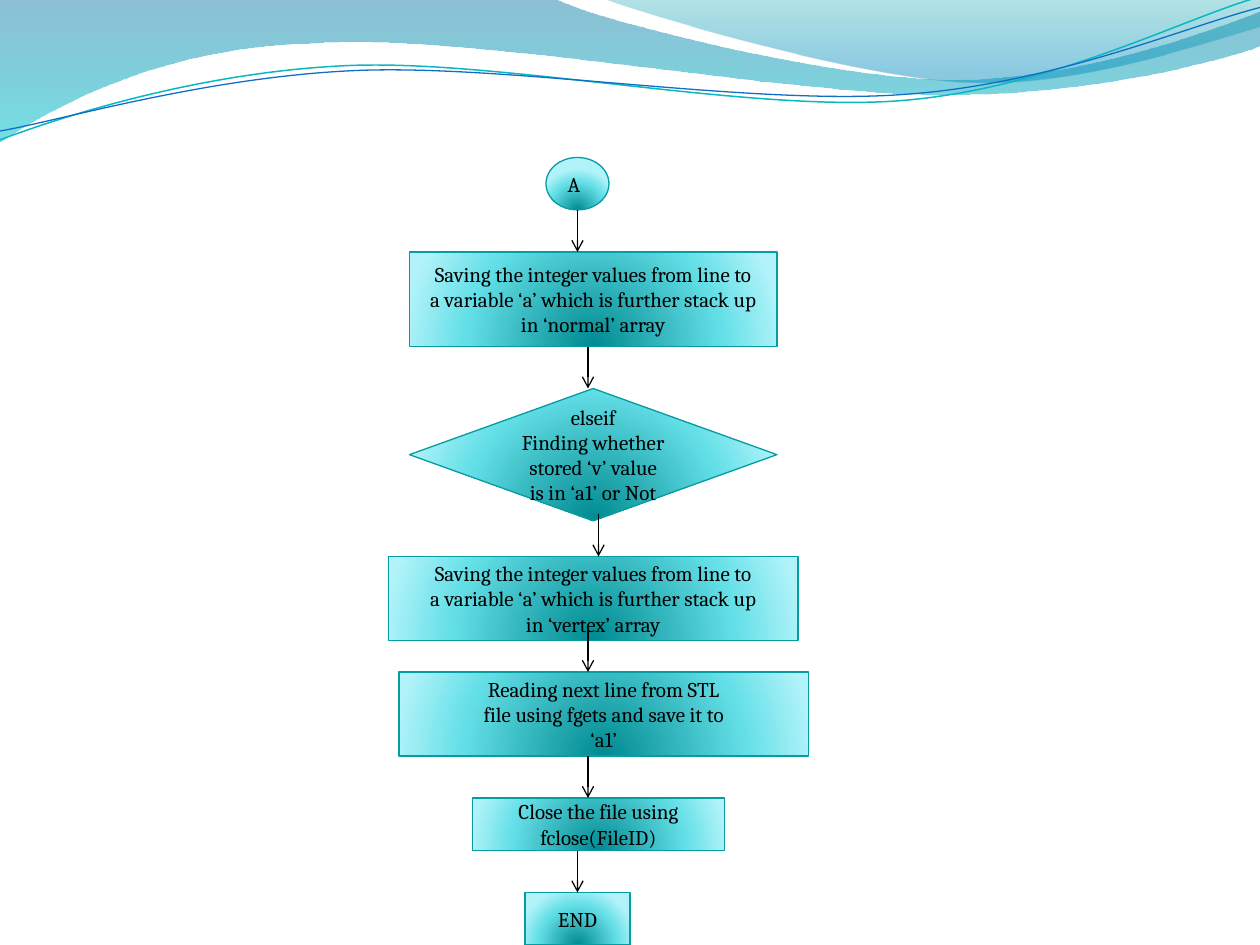
from math import cos, radians, sin

from lxml import etree
from pptx import Presentation
from pptx.dml.color import RGBColor
from pptx.enum.shapes import MSO_CONNECTOR as Conn, MSO_SHAPE as Geo
from pptx.enum.text import MSO_ANCHOR as Anchor, PP_ALIGN as Align
from pptx.oxml import parse_xml
from pptx.oxml.ns import nsdecls, qn
from pptx.util import Inches, Pt

CELL = Inches(1) / 12   # flowchart grid: 120 columns by 90 rows
WIDE = Inches(1)        # wave grid: 10 columns by 7.5 rows


def color(text):
    return RGBColor.from_string(text)


def spin(point, angle, hub):
    """Turn a point clockwise about a hub, in degrees."""
    a = radians(angle)
    x, y = point[0] - hub[0], point[1] - hub[1]
    return hub[0] + x * cos(a) - y * sin(a), hub[1] + x * sin(a) + y * cos(a)


class Chart:
    font, size, ink, edge = "Cambria", 12, "000000", "069CA3"
    glow = [(0, "008A91", 100), (68, "64DFE7", 100), (100, "B1F3F9", 100)]
    down = '<a:lin ang="5400000" scaled="0"/>'
    round = ('<a:path path="circle"><a:fillToRect l="50000" t="130000" '
             'r="50000" b="-30000"/></a:path>')

    def __init__(self, slide):
        self.slide = slide
        self.shapes = slide.shapes

    def blend(self, shape, stops, course):
        """Fill a shape with a gradient of (place, colour, opacity) stops."""
        marks = "".join(
            f'<a:gs pos="{pos * 1000}"><a:srgbClr val="{tone}">'
            f'<a:alpha val="{alpha * 1000}"/></a:srgbClr></a:gs>'
            for pos, tone, alpha in stops)
        grad = parse_xml(f'<a:gradFill {nsdecls("a")} rotWithShape="1">'
                         f'<a:gsLst>{marks}</a:gsLst>{course}</a:gradFill>')
        shape.fill.background()
        props = shape._element.spPr
        props.replace(props.find(qn("a:noFill")), grad)

    def stroke(self, shape, tone, width):
        shape.line.color.rgb = color(tone)
        shape.line.width = Pt(width)

    def curve(self, shape, parts):
        """Join each three drawn segments of a six-number part into a Bezier."""
        segs = iter(list(shape._element.iter(qn("a:lnTo"))))
        for part in parts:
            seg = next(segs)
            if len(part) == 6:
                seg.tag = qn("a:cubicBezTo")
                for _ in range(2):
                    extra = next(segs)
                    seg.append(extra[0])
                    extra.getparent().remove(extra)

    def wave(self, start, parts, stops=None, tone=None, width=0.75, turn=0, hub=(5, 0.5)):
        pts = [start] + [p[i:i + 2] for p in parts for i in range(0, len(p), 2)]
        pts = [spin(p, -turn, hub) for p in pts]
        pts = [(round(x * WIDE), round(y * WIDE)) for x, y in pts]
        pen = self.shapes.build_freeform(*pts[0])
        pen.add_line_segments(pts[1:], close=bool(stops))
        shape = pen.convert_to_shape()
        self.curve(shape, parts)
        shape.rotation = turn
        shape.shadow.inherit = False
        if stops:
            self.blend(shape, stops, self.down)
            shape.line.fill.background()
        else:
            shape.fill.background()
            self.stroke(shape, tone, width)

    def box(self, col, row, cols, rows, lines, geo=Geo.RECTANGLE, align=Align.CENTER):
        spot = [round(n * CELL) for n in (col, row, cols, rows)]
        shape = self.shapes.add_shape(geo, *spot)
        shape.shadow.inherit = False
        self.blend(shape, self.glow, self.round)
        self.stroke(shape, self.edge, 0.75)
        frame = shape.text_frame
        frame.word_wrap = True
        frame.vertical_anchor = Anchor.MIDDLE
        for i, line in enumerate(lines):
            para = frame.add_paragraph() if i else frame.paragraphs[0]
            para.alignment = align
            run = para.add_run()
            run.text = line
            run.font.name, run.font.size = self.font, Pt(self.size)
            run.font.color.rgb = color(self.ink)

    def arrow(self, col, row, rows=4):
        x, top, end = (round(n * CELL) for n in (col, row, row + rows))
        link = self.shapes.add_connector(Conn.STRAIGHT, x, top, x, end)
        self.stroke(link, self.ink, 0.75)
        etree.SubElement(link.line._get_or_add_ln(), qn("a:tailEnd"), type="arrow")
        etree.SubElement(link._element.spPr, qn("a:effectLst"))


def main():
    deck = Presentation()
    deck.slide_width, deck.slide_height = Inches(10), Inches(7.5)
    chart = Chart(deck.slides.add_slide(deck.slide_layouts[6]))

    # Waves along the top
    chart.wave((0, 0), [
        (4.4, -0.01), (4.76, 0.17, 6.64, 0.63, 7.58, 0.63),
        (8.53, 0.63, 9.58, 0.26, 10, 0.09), (10.01, 0.36),
        (9.83, 0.44, 8.7, 0.76, 7.46, 0.75), (6.22, 0.75, 3.82, 0.28, 2.57, 0.34),
        (1.29, 0.36, 0.46, 0.83, -0.01, 1.13), (0, 0)],
        stops=[(0, "0074A1", 45), (100, "00C6CF", 55)])
    chart.wave((4.79, -0.01), [
        (5.09, 0.11, 6.82, 0.62, 7.69, 0.65), (8.56, 0.69, 9.61, 0.32, 10, 0.21),
        (10, 0), (4.79, -0.01)], stops=[(0, "00A1A9", 30), (80, "008BBF", 45)])
    chart.wave((0, 1.11), [
        (0.48, 0.93, 1.58, 0.57, 2.77, 0.52), (3.95, 0.47, 5.93, 0.89, 7.13, 0.8),
        (8.33, 0.71, 9.38, 0.15, 9.98, -0.02)],
        tone="0AB8BF", width=0.85, turn=-2.7, hub=(4.99, 0.57))
    chart.wave((0, 1.04), [
        (0.47, 0.96, 1.64, 0.61, 2.83, 0.56), (4.03, 0.51, 5.97, 0.84, 7.17, 0.75),
        (8.36, 0.67, 9.41, 0.21, 10, 0.06)],
        tone="0F6FC6", turn=-2.7, hub=(5, 0.59))

    # Flowchart steps
    save = ["Saving the integer values from line to",
            "a variable ‘a’ which is further stack up"]
    chart.box(52, 15, 6, 5, ["A"], Geo.OVAL, Align.JUSTIFY)
    chart.box(39, 24, 35, 9, save + ["in ‘normal’ array"])
    chart.box(37, 53, 39, 8, save + ["in ‘vertex’ array"])
    chart.box(39, 37, 35, 12.6, ["elseif", "Finding whether", "stored ‘v’ value",
                                 "is in ‘a1’ or Not"], Geo.FLOWCHART_DECISION)
    chart.box(38, 64, 39, 8, ["Reading next line from STL",
                              "file using fgets and save it to", "‘a1’"])
    chart.box(50, 85, 10, 5, ["END"])
    chart.box(45, 76, 24, 5, ["Close the file using fclose(FileID)"])

    # Arrows between the steps
    for col, row in [(55, 20), (56, 33), (57, 49), (56, 60), (55, 81), (56, 72)]:
        chart.arrow(col, row)

    deck.save("out.pptx")


if __name__ == "__main__":
    main()
